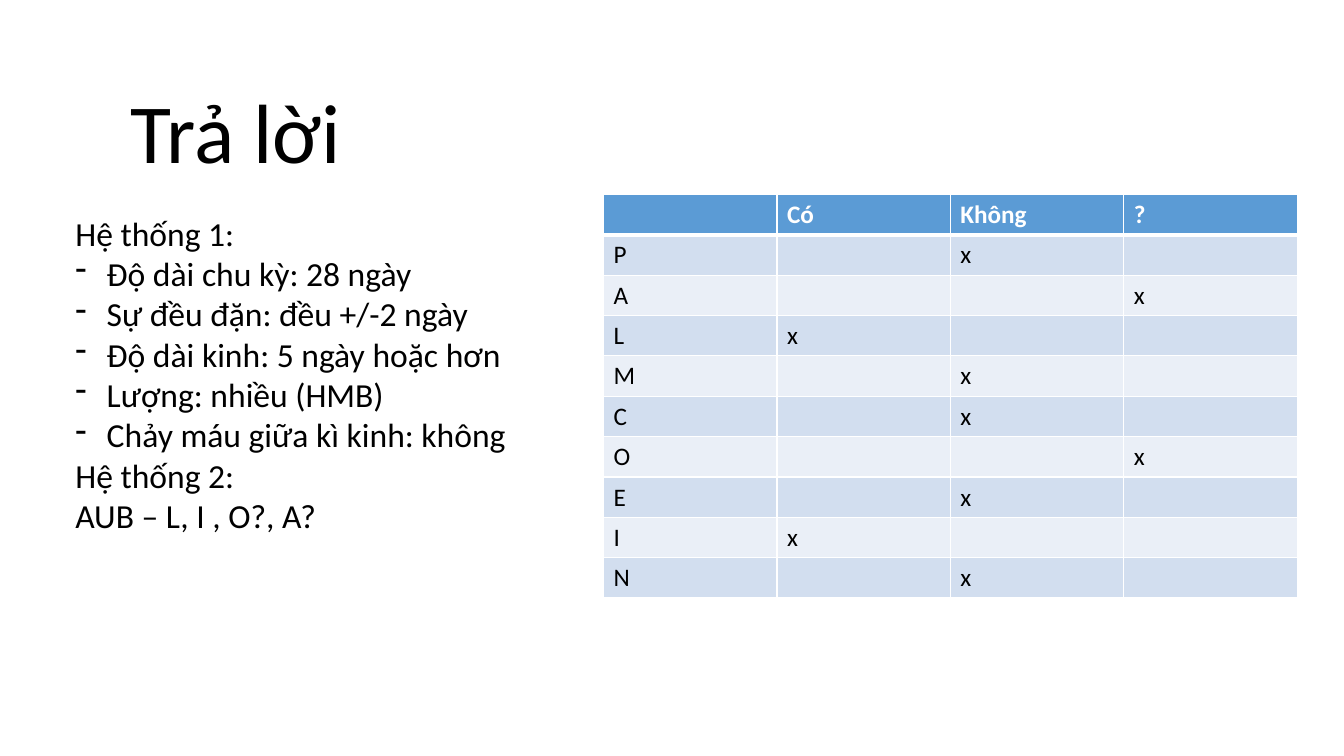
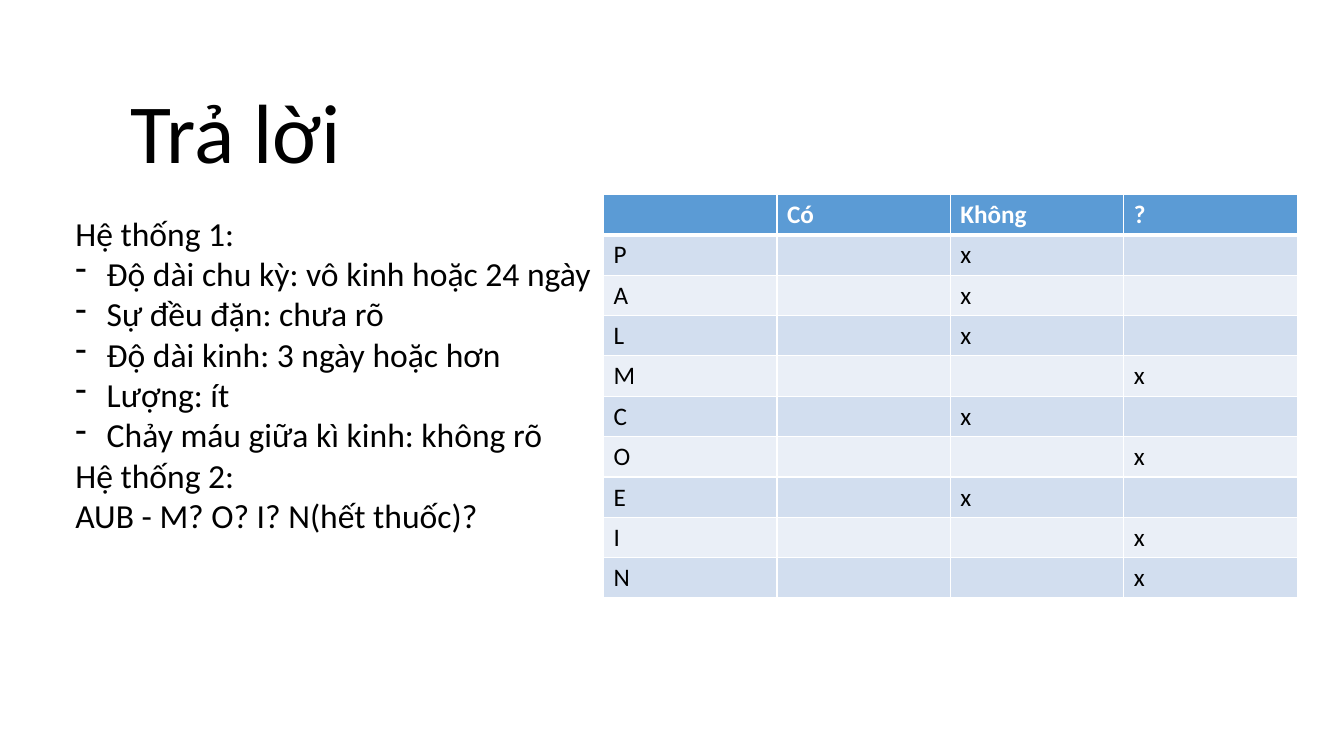
from lxml import etree
from pptx import Presentation
from pptx import util as u
from pptx.dml.color import RGBColor
from pptx.enum import text
from pptx.oxml import ns

FONT = "Calibri"
BLACK, WHITE, HEADER = "000000", "FFFFFF", "5B9BD5"
BANDS = ("D2DEEF", "EAEFF7")

# Boxes: left, top, width, height in cm
TITLE_BOX = (3.05, 2.11, 27.94, 2.59)
FINDINGS_BOX = (1.65, 5.23, 28.63, 10)
CAUSES_BOX = (15.21, 4.9, 17.48, 10.16)
BULLET_INDENT = 0.79

ANSWERS = ("Có", "Không", "?")
CAUSES = "PALMCOEIN"

CASES = [
    {
        "cycle": ["Độ dài chu kỳ: 28 ngày", "Sự đều đặn: đều +/-2 ngày",
                  "Độ dài kinh: 5 ngày hoặc hơn", "Lượng: nhiều (HMB)",
                  "Chảy máu giữa kì kinh: không"],
        "diagnosis": "AUB – L, I , O?, A?",
        "answers": dict(P="Không", A="?", L="Có", M="Không", C="Không",
                        O="?", E="Không", I="Có", N="Không"),
    },
    {
        "cycle": ["Độ dài chu kỳ: vô kinh hoặc 24 ngày", "Sự đều đặn: chưa rõ",
                  "Độ dài kinh: 3 ngày hoặc hơn", "Lượng: ít",
                  "Chảy máu giữa kì kinh: không rõ"],
        "diagnosis": "AUB - M? O? I? N(hết thuốc)?",
        "answers": dict(P="Không", A="Không", L="Không", M="?", C="Không",
                        O="?", E="Không", I="?", N="?"),
    },
]


def rgb(hex_color):
    return RGBColor.from_string(hex_color)


def in_cm(box):
    return [u.Cm(length) for length in box]


def add_run(paragraph, words, size, color=BLACK, bold=False):
    run = paragraph.add_run()
    run.text = words
    run.font.name = FONT
    run.font.size = u.Pt(size)
    run.font.bold = bold
    run.font.color.rgb = rgb(color)


def add_text_frame(slide, box, anchor):
    frame = slide.shapes.add_textbox(*in_cm(box)).text_frame
    frame.word_wrap = True
    frame.vertical_anchor = anchor
    return frame


def add_dash(paragraph):
    """Give the paragraph a hanging dash as its bullet."""
    props = paragraph._p.get_or_add_pPr()
    props.set("marL", str(u.Cm(BULLET_INDENT)))
    props.set("indent", str(-u.Cm(BULLET_INDENT)))
    etree.SubElement(props, ns.qn("a:buFontTx"))
    etree.SubElement(props, ns.qn("a:buChar"), char="-")


def set_borders(cell, **widths):
    """Draw white borders; widths are in points by side: L, R, T, B."""
    props = cell._tc.get_or_add_tcPr()
    for side in "LRTB":
        line = etree.SubElement(props, ns.qn(f"a:ln{side}"),
                                w=str(u.Pt(widths.get(side, 1))))
        fill = etree.SubElement(line, ns.qn("a:solidFill"))
        etree.SubElement(fill, ns.qn("a:srgbClr"), val=WHITE)


def add_title(slide, box, words):
    paragraph = add_text_frame(slide, box, text.MSO_ANCHOR.BOTTOM).paragraphs[0]
    paragraph.line_spacing = 0.9
    add_run(paragraph, words, 60)


def add_findings(slide, box, cycle, diagnosis):
    frame = add_text_frame(slide, box, text.MSO_ANCHOR.TOP)
    lines = ["Hệ thống 1:", *cycle, "Hệ thống 2:", diagnosis]
    for index, words in enumerate(lines):
        paragraph = frame.add_paragraph() if index else frame.paragraphs[0]
        if words in cycle:
            add_dash(paragraph)
        add_run(paragraph, words, 24)


def add_causes(slide, box, answers):
    """Tabulate each cause with an x under its answer."""
    rows = [["", *ANSWERS]]
    rows += [[cause] + ["x" if answers[cause] == answer else "" for answer in ANSWERS]
             for cause in CAUSES]
    table = slide.shapes.add_table(len(rows), len(rows[0]), *in_cm(box)).table
    for r, row in enumerate(rows):
        header = r == 0
        edges = {"B": 3} if header else {"T": 3} if r == 1 else {}
        for c, words in enumerate(row):
            cell = table.cell(r, c)
            set_borders(cell, **edges)
            cell.fill.solid()
            cell.fill.fore_color.rgb = rgb(HEADER if header else BANDS[(r - 1) % 2])
            if words:
                add_run(cell.text_frame.paragraphs[0], words, 18,
                        WHITE if header else BLACK, header)


def add_case_slide(deck, case):
    slide = deck.slides.add_slide(deck.slide_layouts[6])
    add_title(slide, TITLE_BOX, "Trả lời")
    add_findings(slide, FINDINGS_BOX, case["cycle"], case["diagnosis"])
    add_causes(slide, CAUSES_BOX, case["answers"])


def main():
    deck = Presentation()
    deck.slide_width, deck.slide_height = u.Cm(33.87), u.Cm(19.05)
    for case in CASES:
        add_case_slide(deck, case)
    deck.save("out.pptx")


if __name__ == "__main__":
    main()
